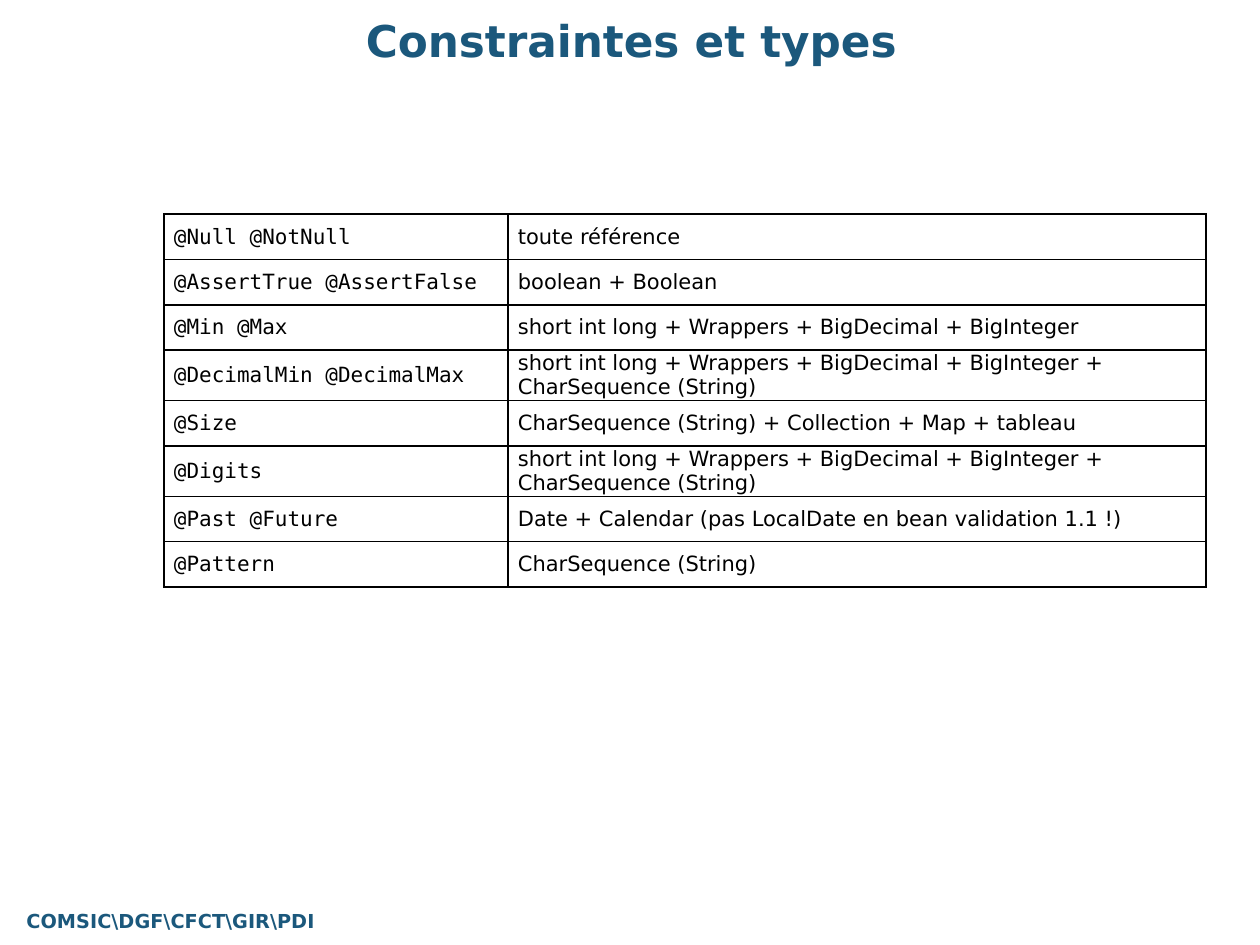
from lxml import etree
from pptx import Presentation
from pptx.dml.color import RGBColor
from pptx.enum.text import MSO_ANCHOR, PP_ALIGN
from pptx.oxml.ns import qn
from pptx.util import Pt

CENTER = PP_ALIGN.CENTER
LEFT = PP_ALIGN.LEFT
MIDDLE = MSO_ANCHOR.MIDDLE
TITLE_ONLY = 5

COLORS = {"heading": "1B587C", "text": "000000", "border": "000000"}
SANS = "DejaVu Sans"
MONO = "DejaVu Sans Mono"

COLUMN_WIDTHS = (196.6, 398.9)
ROW_HEIGHT = 25.9
NUMBERS = "short int long + Wrappers + BigDecimal + BigInteger"
STRINGS = "CharSequence (String)"
CONSTRAINTS = [
    ("@Null @NotNull", "toute référence"),
    ("@AssertTrue @AssertFalse", "boolean + Boolean"),
    ("@Min @Max", NUMBERS),
    ("@DecimalMin @DecimalMax", f"{NUMBERS} + {STRINGS}"),
    ("@Size", f"{STRINGS} + Collection + Map + tableau"),
    ("@Digits", f"{NUMBERS} + {STRINGS}"),
    ("@Past @Future", "Date + Calendar (pas LocalDate en bean validation 1.1 !)"),
    ("@Pattern", STRINGS),
]


def write_text(text_frame, text, size=12, font=SANS, color="text", bold=False, align=LEFT):
    text_frame.word_wrap = True
    paragraph = text_frame.paragraphs[0]
    paragraph.alignment = align
    run = paragraph.add_run()
    run.text = text
    run.font.size = Pt(size)
    run.font.name = font
    run.font.bold = bold
    run.font.color.rgb = RGBColor.from_string(COLORS[color])


def add_title(slide, text):
    title = slide.shapes.title
    title.left, title.top, title.width, title.height = Pt(36.7), Pt(4.3), Pt(648), Pt(37.4)
    title.text_frame.vertical_anchor = MIDDLE
    write_text(title.text_frame, text, size=25, color="heading", bold=True, align=CENTER)


def add_footer(slide, text):
    footer = slide.shapes.add_textbox(Pt(-14.4), Pt(515.5), Pt(223.9), Pt(20.9))
    footer.text_frame.vertical_anchor = MIDDLE
    write_text(footer.text_frame, text, size=11, color="heading", bold=True, align=CENTER)


def set_borders(cell):
    properties = cell._tc.get_or_add_tcPr()
    for position, side in enumerate(("a:lnL", "a:lnR", "a:lnT", "a:lnB")):
        line = etree.Element(qn(side), w=str(Pt(1)))
        fill = etree.SubElement(line, qn("a:solidFill"))
        etree.SubElement(fill, qn("a:srgbClr"), val=COLORS["border"])
        properties.insert(position, line)


def format_cell(cell, text, font):
    cell.fill.background()
    cell.vertical_anchor = MIDDLE
    cell.margin_left = cell.margin_right = Pt(5.8)
    cell.margin_top = cell.margin_bottom = 0
    write_text(cell.text_frame, text, font=font)
    set_borders(cell)


def add_constraint_table(slide):
    frame = slide.shapes.add_table(
        len(CONSTRAINTS), len(COLUMN_WIDTHS), Pt(93.6), Pt(122.4),
        Pt(sum(COLUMN_WIDTHS)), Pt(ROW_HEIGHT * len(CONSTRAINTS)))
    table = frame.table
    table.first_row = False
    table.horz_banding = False
    for column, width in zip(table.columns, COLUMN_WIDTHS):
        column.width = Pt(width)
    for row, texts in zip(table.rows, CONSTRAINTS):
        row.height = Pt(ROW_HEIGHT)
        for cell, text, font in zip(row.cells, texts, (MONO, SANS)):
            format_cell(cell, text, font)


def main():
    presentation = Presentation()
    presentation.slide_width = Pt(720)
    presentation.slide_height = Pt(540)
    slide = presentation.slides.add_slide(presentation.slide_layouts[TITLE_ONLY])
    add_footer(slide, "COMSIC\\DGF\\CFCT\\GIR\\PDI")
    add_title(slide, "Constraintes et types")
    add_constraint_table(slide)
    presentation.save("out.pptx")


if __name__ == "__main__":
    main()
